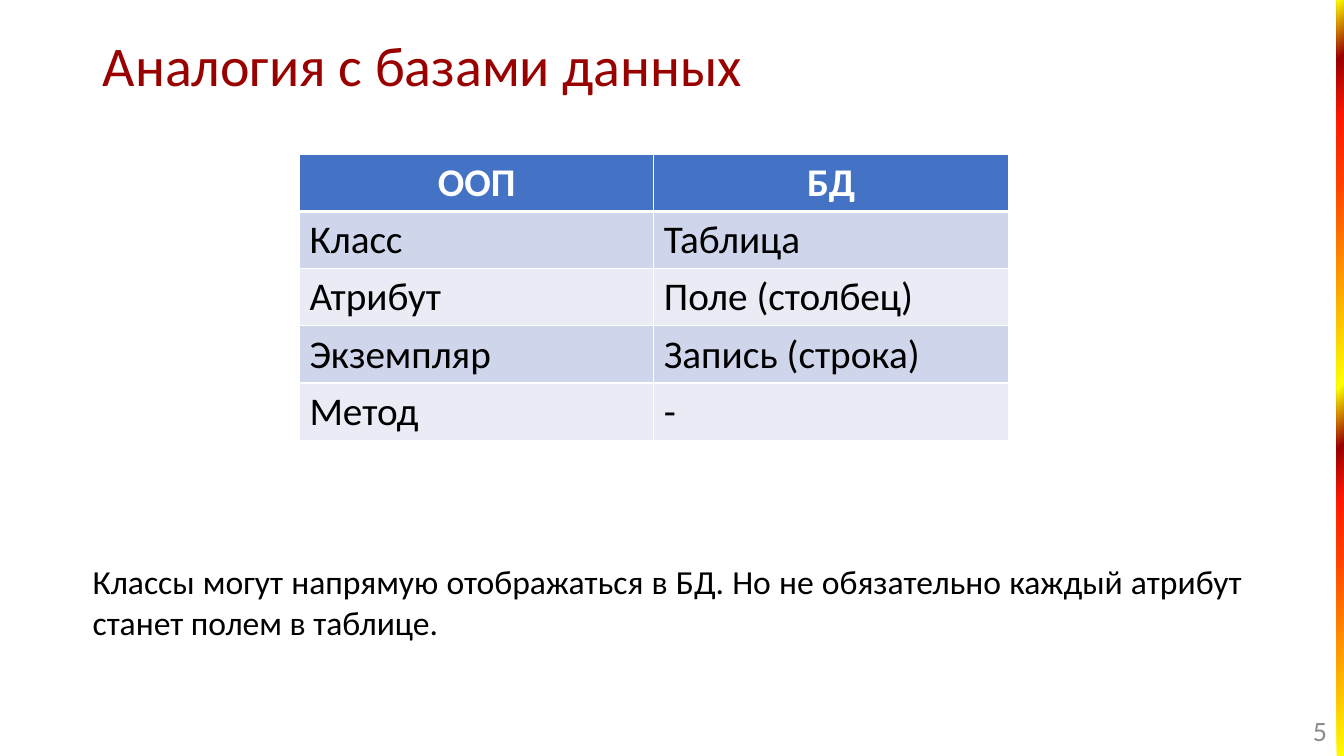
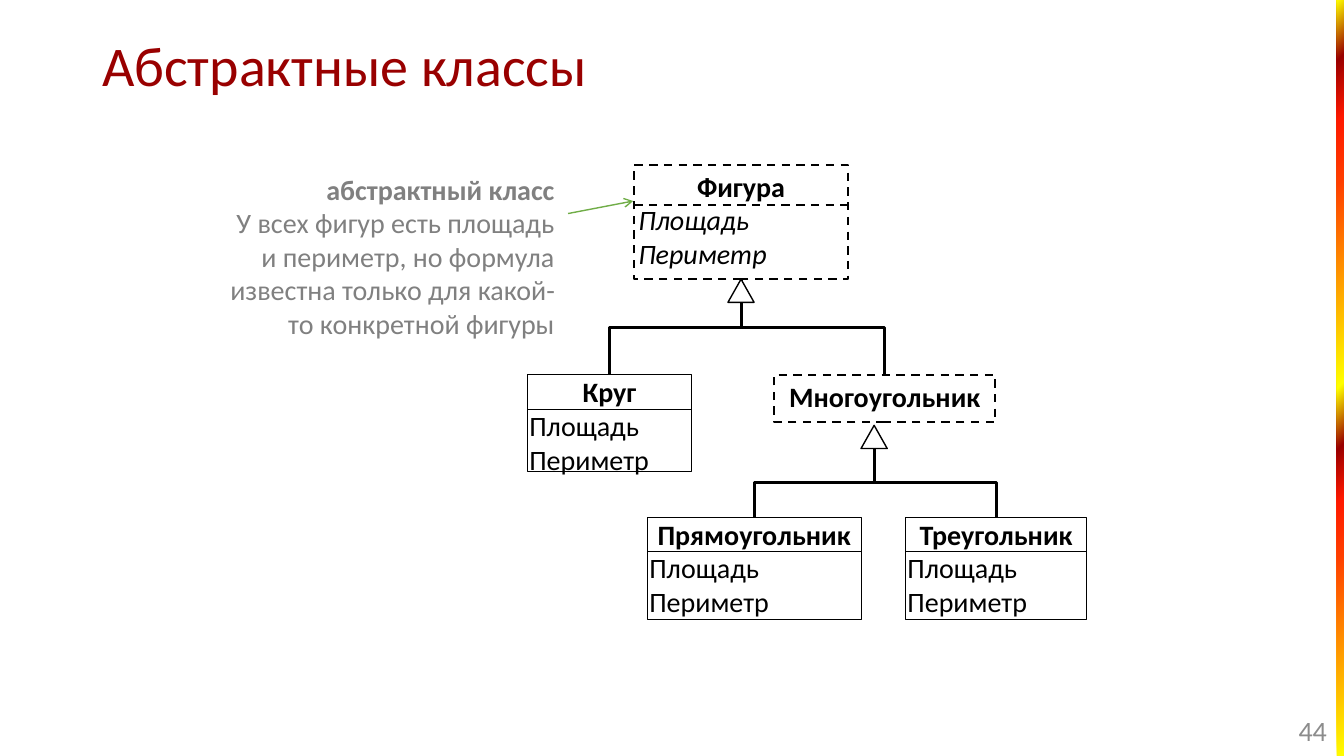
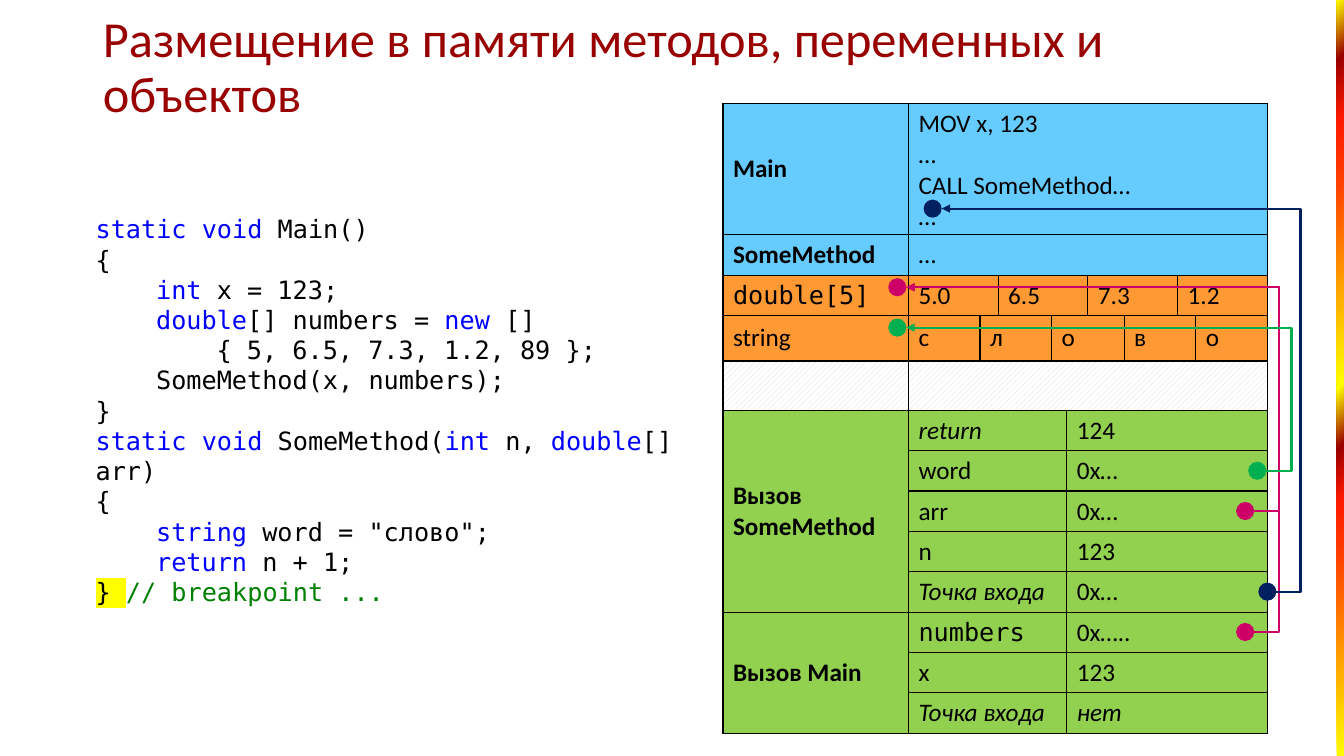
from dataclasses import dataclass

from pptx import Presentation
from pptx.dml.color import RGBColor as RGB
from pptx.enum.dml import MSO_LINE as DASH, MSO_PATTERN as PAT
from pptx.enum.shapes import MSO_CONNECTOR as CON, MSO_SHAPE as SHP
from pptx.enum.text import MSO_ANCHOR as ANC, PP_ALIGN as AL
from pptx.oxml.ns import qn
from pptx.oxml.xmlchemy import OxmlElement as Elem
from pptx.util import Inches, Pt


@dataclass(frozen=True)
class Theme:
    """Colours, fonts and type sizes of the deck."""
    font: str = "Calibri"
    mono: str = "DejaVu Sans Mono"
    black: str = "000000"
    white: str = "FFFFFF"
    title: str = "990000"
    number: str = "8C8C8C"
    note: str = "808080"
    arrow: str = "70AD47"
    head: str = "4472C4"
    bands: tuple = ("CFD5EA", "E9EBF5")
    code: str = "66CCFF"
    heap: str = "FF9933"
    stack: str = "92D050"
    hatch: str = "D9D9D9"
    word: str = "0000FF"
    remark: str = "008000"
    mark: str = "FFFF00"
    pink: str = "CC0066"
    navy: str = "002060"
    green: str = "00B050"
    flame: tuple = ((0, "FFFF00"), (27, "FF3D00"), (34, "FF1900"),
                    (41, "990000"), (49, "FFFF00"), (76, "FF3D00"),
                    (84, "FF1900"), (92, "990000"), (100, "FFFF00"))
    big: int = 40
    long: int = 36
    grid: int = 28
    body: int = 24
    small: int = 20
    tiny: int = 18


T = Theme()
BOLD, SLANT, MONO = {"bold": True}, {"italic": True}, {"font": T.mono}


def inch(*nums):
    """Turn numbers of inches into lengths."""
    return [Inches(n) for n in nums]


def tint(fill, color):
    """Give a solid fill."""
    fill.solid()
    fill.fore_color.rgb = RGB.from_string(color)


def child(parent, tag, **attrs):
    """Append an XML element with attributes."""
    node = Elem(tag)
    for key, val in attrs.items():
        node.set(key, str(val))
    parent.append(node)
    return node


def put(frame, text, size=T.small, font=T.font, color=T.black, bold=False,
        italic=False, mark=None, align=AL.LEFT, line=None, after=None,
        indent=0):
    """Write one paragraph; text is a string or a list of (text, format)."""
    para = frame.paragraphs[0]
    if para.runs:
        para = frame.add_paragraph()
    para.alignment = align
    if line:
        para.line_spacing = line
    if after:
        para.space_after = Pt(after)
    if indent:
        para._p.get_or_add_pPr().set("marL", str(Inches(indent)))
    base = dict(size=size, font=font, color=color, bold=bold, italic=italic,
                mark=mark)
    for words, own in [(text, {})] if isinstance(text, str) else text:
        fmt = {**base, **own}
        run = para.add_run()
        run.text = words
        face = run.font
        face.size, face.name = Pt(fmt["size"]), fmt["font"]
        face.bold, face.italic = fmt["bold"], fmt["italic"]
        tint(face.fill, fmt["color"])
        if fmt["mark"]:
            light = Elem("a:highlight")
            child(light, "a:srgbClr", val=fmt["mark"])
            run._r.rPr.find(qn("a:solidFill")).addnext(light)


def area(slide, box, anchor=ANC.TOP):
    """Add a wrapping text box and return its frame."""
    frame = slide.shapes.add_textbox(*inch(*box)).text_frame
    frame.word_wrap, frame.vertical_anchor = True, anchor
    return frame


def stroke(line, color, width, dash=False, tip=None):
    """Format a line, with an optional arrowhead at its end."""
    tint(line.fill, color)
    line.width = Pt(width)
    if dash:
        line.dash_style = DASH.DASH
    if tip:
        child(line._get_or_add_ln(), "a:tailEnd", type=tip)


def form(slide, kind, box, fill=T.white, color=None, width=1, **look):
    """Add a preset shape without a shadow."""
    shape = slide.shapes.add_shape(kind, *inch(*box))
    shape.shadow.inherit = False
    tint(shape.fill, fill)
    if color:
        stroke(shape.line, color, width, **look)
    else:
        shape.line.fill.background()
    return shape


def wire(slide, kind, start, end, color, width, **look):
    """Add a connector without a shadow."""
    con = slide.shapes.add_connector(kind, *inch(*start, *end))
    stroke(con.line, color, width, **look)
    child(con._element.spPr, "a:effectLst")
    return con


def edge(cell, color, width, bottom=None):
    """Draw the four borders of a cell."""
    props = cell._tc.get_or_add_tcPr()
    for side in "LRTB":
        wide = bottom if bottom and side == "B" else width
        ln = child(props, "a:ln" + side, w=Pt(wide))
        child(child(ln, "a:solidFill"), "a:srgbClr", val=color)


def grid(slide, box, cols, rows):
    """Add a plain table with the given column widths and row heights."""
    table = slide.shapes.add_table(len(rows), len(cols), *inch(*box)).table
    table.first_row = table.horz_banding = False
    for part, size in zip(table.columns, cols):
        part.width = Inches(size)
    for part, size in zip(table.rows, rows):
        part.height = Inches(size)
    return table


def base(deck, title, number=None, size=T.big):
    """Start a slide with its title, flame band and page number."""
    slide = deck.slides.add_slide(deck.slide_layouts[5])
    band = form(slide, SHP.RECTANGLE, (13.26, 0, 0.07, 7.5))
    band.fill.gradient()
    band.fill.gradient_angle = 135
    stops = band._element.spPr.find(qn("a:gradFill")).find(qn("a:gsLst"))
    for stop in list(stops):
        stops.remove(stop)
    for pos, color in T.flame:
        child(child(stops, "a:gs", pos=pos * 1000), "a:srgbClr", val=color)
    head = slide.shapes.title
    head.left, head.top, head.width, head.height = inch(0.92, 0.15, 11.5, 1.06)
    head.text_frame.vertical_anchor = ANC.MIDDLE
    head.text_frame.word_wrap = True
    put(head.text_frame, title, size=size, color=T.title, line=0.9)
    if number:
        put(area(slide, (12.2, 7.05, 1.06, 0.4), ANC.MIDDLE), number,
            color=T.number, align=AL.RIGHT)
    return slide


def pairs(slide, box, rows):
    """Fill a box with a banded table whose first row is the header."""
    x, y, wide, high = box
    cols = len(rows[0])
    table = grid(slide, box, [wide / cols] * cols,
                 [high / len(rows)] * len(rows))
    for r, row in enumerate(rows):
        for c, text in enumerate(row):
            cell = table.cell(r, c)
            edge(cell, T.white, 1, bottom=None if r else 3)
            tint(cell.fill, T.bands[(r - 1) % 2] if r else T.head)
            look = {} if r else dict(color=T.white, bold=True, align=AL.CENTER)
            put(cell.text_frame, text, size=T.grid, **look)


def entity(slide, box, name, members=(), ghost=False):
    """Draw a class box; a ghost one is abstract and dashed."""
    x, y, wide, high = box
    shape = form(slide, SHP.RECTANGLE, box, color=T.black,
                 width=1.5 if ghost else 0.75, dash=ghost)
    frame = shape.text_frame
    frame.word_wrap, frame.vertical_anchor = True, ANC.TOP
    frame.margin_left = frame.margin_right = Inches(0.04 if ghost else 0.02)
    frame.margin_top = frame.margin_bottom = Inches(0.04 if ghost else 0)
    put(frame, name, bold=True, align=AL.CENTER)
    for text in members:
        put(frame, text, italic=ghost)
    if members:
        cut = y + (0.39 if ghost else 0.34)
        wire(slide, CON.STRAIGHT, (x, cut), (x + wide, cut), T.black,
             1.5 if ghost else 0.5, dash=ghost)


def branch(slide, tip, end, kids):
    """Join the tops of child boxes to a triangle below their parent."""
    x, y = tip
    for left, top, wide, _ in kids:
        start = left + wide / 2
        side = 1 if start < x else -1
        mid, level = (start + x) / 2, (top + end) / 2
        run, rise = (top - end) / 2, abs(start - x) / 2
        con = wire(slide, CON.ELBOW, (mid + side * run, level + rise),
                   (mid - side * run, level - rise), T.black, 2.25)
        turn = 90 if side > 0 else 270
        con._element.spPr.find(qn("a:xfrm")).set("rot", str(turn * 60000))
    form(slide, SHP.ISOSCELES_TRIANGLE, (x - 0.13, y, 0.26, 0.23),
         color=T.black)


def tree(slide, box):
    """Draw the class hierarchy and the note on abstract classes."""
    x, y = box[:2]
    both = ("Площадь", "Периметр")
    root = (x + 4.13, y, 2.12, 1.13)
    ring = (x + 3.07, y + 2.08, 1.63, 0.96)
    poly = (x + 5.52, y + 2.08, 2.19, 0.47)
    rect = (x + 4.26, y + 3.49, 2.12, 1.02)
    tri = (x + 6.82, y + 3.49, 1.8, 1.02)
    entity(slide, root, "Фигура", both, ghost=True)
    entity(slide, ring, "Круг", both)
    entity(slide, poly, "Многоугольник", ghost=True)
    entity(slide, rect, "Прямоугольник", both)
    entity(slide, tri, "Треугольник", both)
    branch(slide, (x + 5.19, y + 1.13), y + 1.13, (ring, poly))
    branch(slide, (x + 6.51, y + 2.58), y + 2.81, (rect, tri))

    note = form(slide, SHP.LINE_CALLOUT_1_NO_BORDER, (x, y, 3.44, 1.8),
                color=T.arrow, tip="arrow")
    for i, share in enumerate((0.266, 1.01, 0.197, 1.198)):
        note.adjustments[i] = share
    frame = note.text_frame
    frame.word_wrap, frame.vertical_anchor = True, ANC.MIDDLE
    look = dict(color=T.note, align=AL.RIGHT)
    put(frame, "абстрактный класс", bold=True, **look)
    put(frame, "У всех фигур есть площадь и периметр, но формула известна "
        "только для какой-то конкретной фигуры", **look)


def listing(slide, box, lines):
    """Write code lines (tab depth, text); bars enclose the keywords."""
    frame = area(slide, box)
    for deep, text in lines:
        runs = [(part, {"color": T.word} if i % 2 else {})
                for i, part in enumerate(text.split("|")) if part]
        put(frame, runs, size=T.tiny, font=T.mono, indent=deep * 0.6)
    put(frame, [("} ", {"mark": T.mark}),
                ("// breakpoint ...", {"color": T.remark})],
        size=T.tiny, font=T.mono)


def link(slide, starts, goal, lane, color):
    """Lead arrows from dots along a lane to a shared target dot."""
    rad = 0.09
    for x, y in starts:
        con = wire(slide, CON.ELBOW, (x + rad, y), (goal[0] + rad, goal[1]),
                   color, 1.5, tip="triangle")
        bend = (lane - x - rad) / (goal[0] - x)
        shape = con._element.spPr.find(qn("a:prstGeom"))
        guides = shape.find(qn("a:avLst"))
        if guides is None:
            guides = child(shape, "a:avLst")
        child(guides, "a:gd", name="adj1", fmla=f"val {round(bend * 100000)}")
    for x, y in (*starts, goal):
        form(slide, SHP.OVAL, (x - rad, y - rad, 2 * rad, 2 * rad), color)


def memory(slide, box):
    """Draw the memory map with its references."""
    x, y, wide, _ = box
    cols = (1.84, 0.71, 0.18, 0.53, 0.15, 0.21, 0.36, 0.53, 0.18, 0.71)

    def slot(name, value, look={}, other={}):
        return [(name, 4, look), (value, 5, other)]

    # height, fill, label, label format, rows under the label, other cells
    rows = (
        (1.3, T.code, "Main", BOLD, 1,
         [("MOV x, 123\n…\nCALL SomeMethod…\n…", 9, {})]),
        (0.4, T.code, "SomeMethod", BOLD, 1, [("…", 9, {})]),
        (0.4, T.heap, "double[5]", MONO, 1,
         [("5.0", 2, {}), ("6.5", 3, {}), ("7.3", 2, {}), ("1.2", 2, {})]),
        (0.45, T.heap, "string", {}, 1,
         [(sign, span, {}) for sign, span in zip("слово", (1, 2, 3, 2, 1))]),
        (0.49, None, "", {}, 1, [("", 9, {})]),
        (0.4, T.stack, "Вызов SomeMethod", BOLD, 5,
         slot("return", "124", SLANT)),
        (0.4, T.stack, "", {}, 0, slot("word", "0x…")),
        (0.4, T.stack, "", {}, 0, slot("arr", "0x…")),
        (0.4, T.stack, "", {}, 0, slot("n", "123")),
        (0.4, T.stack, "", {}, 0, slot("Точка входа", "0x…", SLANT)),
        (0.4, T.stack, "Вызов Main", BOLD, 3, slot("numbers", "0x…..", MONO)),
        (0.4, T.stack, "", {}, 0, slot("x", "123")),
        (0.4, T.stack, "", {}, 0, slot("Точка входа", "нет", SLANT, SLANT)),
    )
    table = grid(slide, box, cols, [row[0] for row in rows])
    for r in range(len(rows)):
        for c in range(len(cols)):
            edge(table.cell(r, c), T.black, 1)
    for r, (_, fill, label, look, down, cells) in enumerate(rows):
        c = 0 if down else 1
        for text, span, fmt in ([(label, 1, look)] if down else []) + cells:
            cell = table.cell(r, c)
            deep = down if c == 0 else 1
            if span > 1 or deep > 1:
                cell.merge(table.cell(r + deep - 1, c + span - 1))
            cell.vertical_anchor = ANC.MIDDLE
            if fill:
                tint(cell.fill, fill)
            else:
                cell.fill.patterned()
                cell.fill.pattern = PAT.WIDE_UPWARD_DIAGONAL
                cell.fill.fore_color.rgb = RGB.from_string(T.hatch)
                cell.fill.back_color.rgb = RGB.from_string(T.white)
            for part in text.split("\n") if text else []:
                put(cell.text_frame, part, size=T.tiny, **fmt)
            c += span

    tops = [y + sum(row[0] for row in rows[:r]) for r in range(len(rows))]
    right = x + wide

    def spot(r, gap):
        return right - gap, tops[r] + rows[r][0] / 2

    link(slide, [spot(7, 0.22), spot(10, 0.22)], (x + 1.73, tops[2] + 0.12),
         right + 0.12, T.pink)
    link(slide, [spot(9, 0)], (x + 2.08, y + 1.04), right + 0.33, T.navy)
    link(slide, [spot(6, 0.1)], (x + 1.73, tops[3] + 0.12), right + 0.24,
         T.green)


deck = Presentation()
deck.slide_width, deck.slide_height = inch(13.33, 7.5)

page = base(deck, "Аналогия с базами данных", "5")
put(area(page, (0.82, 5.52, 11.6, 0.91)),
    "Классы могут напрямую отображаться в БД. Но не обязательно каждый "
    "атрибут станет полем в таблице.",
    size=T.body, align=AL.JUSTIFY, after=6)
pairs(page, (2.97, 1.53, 7.03, 2.83), (
    ("ООП", "БД"), ("Класс", "Таблица"), ("Атрибут", "Поле (столбец)"),
    ("Экземпляр", "Запись (строка)"), ("Метод", "-")))

page = base(deck, "Абстрактные классы", "44")
tree(page, (2.16, 1.64, 8.62, 4.51))

page = base(deck, "Размещение в памяти методов, переменных и объектов",
            size=T.long)
listing(page, (0.85, 2.07, 6.26, 3.74), (
    (0, "|static void| Main()"),
    (0, "{"),
    (1, "|int| x = 123;"),
    (1, "|double|[] numbers = |new |[] "),
    (2, "{ 5, 6.5, 7.3, 1.2, 89 };"),
    (1, "SomeMethod(x, numbers);"),
    (0, "}"),
    (0, "|static void |SomeMethod(|int| n, |double|[] arr)"),
    (0, "{"),
    (1, "|string| word = \"слово\";"),
    (1, "|return |n + 1;")))
memory(page, (7.17, 1.03, 5.4, 6.24))

deck.save("out.pptx")
